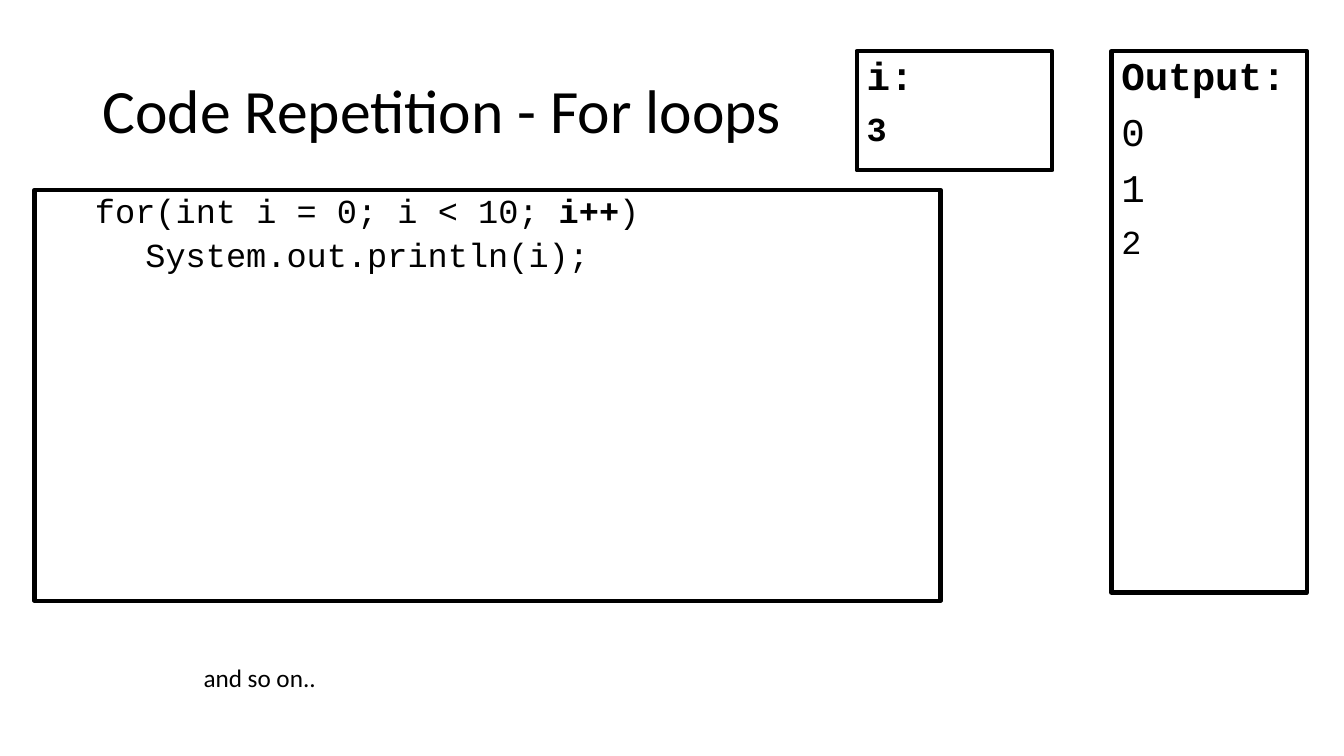
from lxml.etree import SubElement
from pptx import Presentation
from pptx.dml.color import RGBColor
from pptx.enum.text import MSO_ANCHOR, MSO_AUTO_SIZE, PP_ALIGN
from pptx.oxml.ns import qn
from pptx.util import Cm, Pt

BLACK = "000000"
CODE_FONT = "Courier New"
TEXT_FONT = "Calibri"

TITLE = [[("Code Repetition - For loops", 44, False)]]
CODE = [
    [("for(int i = 0; i < 10; ", 24, False), ("i++", 24, True), (")", 24, False)],
    [("System.out.println(i);", 24, False)],
]
VARIABLE = [[("i:", 28, True)], [("3", 24, True)]]
OUTPUT = [
    [("Output:", 28, True)],
    [("0", 28, False)],
    [("1", 28, False)],
    [("2", 24, False)],
]
CAPTION = [[("and so on..", 18, False)]]

TITLE_AREA = (2.33, 1.01, 29.21, 3.68)
CODE_AREA = (0.87, 4.78, 22.83, 10.36)
VARIABLE_AREA = (21.59, 1.29, 4.93, 3)
OUTPUT_AREA = (28.01, 1.29, 4.93, 13.64)
CAPTION_AREA = (4.88, 16.56, 11.28, 1.02)
CODE_INDENT = 1.27


def color(value):
    return RGBColor.from_string(value)


def place(shape, area):
    shape.left, shape.top, shape.width, shape.height = [Cm(side) for side in area]


def outline(shape):
    shape.fill.background()
    shape.line.color.rgb = color(BLACK)
    shape.line.width = Pt(3)


def write(shape, lines, font, gap=0, spacing=0.9, anchor=MSO_ANCHOR.TOP):
    frame = shape.text_frame
    frame.word_wrap = True
    frame.auto_size = MSO_AUTO_SIZE.NONE
    frame.vertical_anchor = anchor
    for index, line in enumerate(lines):
        para = frame.add_paragraph() if index else frame.paragraphs[0]
        para.alignment = PP_ALIGN.LEFT
        para.line_spacing = spacing
        para.space_before = Pt(gap if index else 0)
        for text, size, bold in line:
            span = para.add_run()
            span.text = text
            span.font.name = font
            span.font.size = Pt(size)
            span.font.bold = bold
            span.font.color.rgb = color(BLACK)


def indent_code(shape):
    for index, para in enumerate(shape.text_frame.paragraphs):
        properties = para._p.get_or_add_pPr()
        properties.set("marL", str(Cm(CODE_INDENT)))
        properties.set("indent", str(Cm(CODE_INDENT * index)))
        SubElement(properties, qn("a:buNone"))


def add_panel(page, area, lines):
    panel = page.shapes.add_shape(1, *[Cm(side) for side in area])
    panel.shadow.inherit = False
    outline(panel)
    write(panel, lines, CODE_FONT, gap=10)


def main():
    deck = Presentation()
    deck.slide_width = Cm(33.87)
    deck.slide_height = Cm(19.05)
    page = deck.slides.add_slide(deck.slide_layouts[1])

    title = page.shapes.title
    place(title, TITLE_AREA)
    write(title, TITLE, TEXT_FONT, anchor=MSO_ANCHOR.MIDDLE)

    add_panel(page, OUTPUT_AREA, OUTPUT)

    code = page.placeholders[1]
    place(code, CODE_AREA)
    outline(code)
    write(code, CODE, CODE_FONT, gap=5)
    indent_code(code)

    add_panel(page, VARIABLE_AREA, VARIABLE)

    caption = page.shapes.add_textbox(*[Cm(side) for side in CAPTION_AREA])
    write(caption, CAPTION, TEXT_FONT, spacing=1.0)

    deck.save("out.pptx")


if __name__ == "__main__":
    main()
